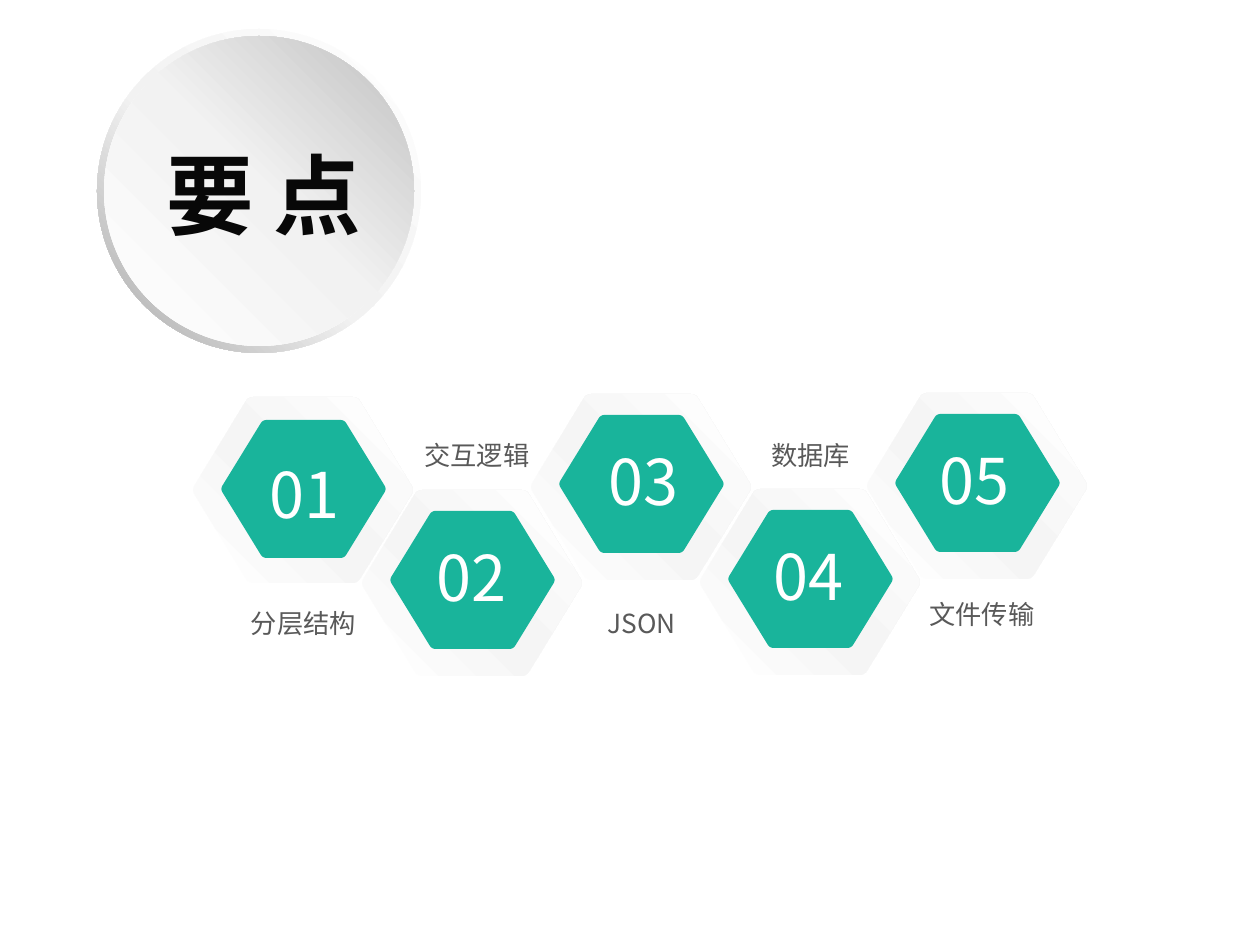
from collections import namedtuple

from lxml import etree
from pptx import Presentation
from pptx import util as u
from pptx.dml.color import RGBColor
from pptx.enum import shapes, text
from pptx.oxml import ns

SCALE = 914400 / 126  # EMU per px
FONT = "Noto Sans CJK SC"

WHITE = RGBColor(0xFF, 0xFF, 0xFF)
PALE = RGBColor(0xF5, 0xF5, 0xF5)
LIGHT = RGBColor(0xF2, 0xF2, 0xF2)
SILVER = RGBColor(0xBF, 0xBF, 0xBF)
GREY = RGBColor(0xA6, 0xA6, 0xA6)
TEAL = RGBColor(0x19, 0xB4, 0x9B)
INK = RGBColor(0x08, 0x08, 0x08)
LABEL = RGBColor(0x59, 0x59, 0x59)

LEFT, CENTER = text.PP_ALIGN.LEFT, text.PP_ALIGN.CENTER

# Sharp corners of the hexagon as fractions of its box, and the share of
# each side that is given to the rounding of a corner
HEX_CORNERS = [(1.01, 0.5), (0.75, 1), (0.25, 1), (-0.01, 0.5), (0.25, 0), (0.75, 0)]
ROUNDING = 0.05
CURVE_STEPS = 6

# Positions in px; core_dy, number_dx and number_dy are relative to the tile
Tile = namedtuple("Tile", "number left top core_dy number_dx number_dy")
TILES = [
    Tile("03", 531, 393, 22, 65, 43),
    Tile("01", 193, 396, 24, 64, 53),
    Tile("02", 362, 489, 22, 62, 43),
    Tile("05", 867, 392, 22, 60, 43),
    Tile("04", 700, 488, 22, 61, 43),
]

# Label, left, top, alignment
LABELS = [
    ("交互逻辑", 412, 433, LEFT),
    ("JSON", 571, 601, CENTER),
    ("文件传输", 917, 592, LEFT),
    ("数据库", 740, 433, CENTER),
    ("分层结构", 233, 601, CENTER),
]


def px(*lengths):
    return [u.Emu(round(length * SCALE)) for length in lengths]


def finish(shape, stops, angle=0):
    """Fill with one colour, or with a gradient of (percent, colour) stops."""
    shape.shadow.inherit = False
    shape.line.fill.background()
    if isinstance(stops, RGBColor):
        shape.fill.solid()
        shape.fill.fore_color.rgb = stops
        return
    shape.fill.gradient()
    grad = shape.element.spPr.find(ns.qn("a:gradFill"))
    for child in list(grad):
        grad.remove(child)
    stop_list = etree.SubElement(grad, ns.qn("a:gsLst"))
    for percent, colour in stops:
        stop = etree.SubElement(stop_list, ns.qn("a:gs"), pos=str(percent * 1000))
        etree.SubElement(stop, ns.qn("a:srgbClr"), val=str(colour))
    etree.SubElement(grad, ns.qn("a:lin"), ang=str(angle * 60000), scaled="0")


def write(box, words, size, colour, align=LEFT, bold=False):
    frame = box.text_frame
    frame.text = words
    frame.word_wrap = True
    frame.vertical_anchor = text.MSO_ANCHOR.TOP
    frame.auto_size = text.MSO_AUTO_SIZE.SHAPE_TO_FIT_TEXT
    paragraph = frame.paragraphs[0]
    paragraph.alignment = align
    for run in paragraph.runs:
        run.font.name = FONT
        run.font.size = u.Pt(size)
        run.font.bold = bold
        run.font.color.rgb = colour
        etree.SubElement(run.font._element, ns.qn("a:ea"), typeface=FONT)


def hexagon(slide, left, top, width, height, stops, angle=0):
    corners = [(left + x * width, top + y * height) for x, y in HEX_CORNERS]
    outline = []
    for i, corner in enumerate(corners):
        before, after = corners[i - 1], corners[(i + 1) % len(corners)]
        start = [c + (b - c) * ROUNDING for c, b in zip(corner, before)]
        end = [c + (a - c) * ROUNDING for c, a in zip(corner, after)]
        for step in range(CURVE_STEPS + 1):
            t = step / CURVE_STEPS
            outline.append(px(*(
                (1 - t) ** 2 * s + 2 * t * (1 - t) * c + t ** 2 * e
                for s, c, e in zip(start, corner, end)
            )))
    builder = slide.shapes.build_freeform(*outline[0])
    builder.add_line_segments(outline[1:], close=True)
    finish(builder.convert_to_shape(), stops, angle)


def title_badge(slide, left, top, size):
    # Raised ring and disc
    ring = slide.shapes.add_shape(shapes.MSO_SHAPE.DONUT, *px(left, top, size, size))
    ring.adjustments[0] = 0.05
    finish(ring, [(0, WHITE), (55, LIGHT), (100, GREY)], 135)
    disc = slide.shapes.add_shape(
        shapes.MSO_SHAPE.OVAL, *px(left + 7, top + 7, size - 14, size - 14))
    finish(disc, [(0, WHITE), (51, LIGHT), (100, SILVER)], 315)

    # Title, brought in front of the disc
    title = slide.shapes.title
    title.left, title.top, title.width, title.height = px(left + 57, top + 106, 228, 118)
    write(title, "要 点", 50, INK, bold=True)
    disc.element.addnext(title.element)


def number_tile(slide, tile):
    left, top = tile.left, tile.top
    hexagon(slide, left, top, 220, 188, WHITE)
    hexagon(slide, left + 1, top + 1, 218, 186,
            [(0, WHITE), (47, PALE), (100, WHITE)], 315)
    hexagon(slide, left + 29, top + tile.core_dy, 163, 138, TEAL)
    number = slide.shapes.add_textbox(
        *px(left + tile.number_dx, top + tile.number_dy, 112, 88))
    write(number, tile.number, 36, WHITE)


def topic_label(slide, words, left, top, align):
    label = slide.shapes.add_textbox(*px(left, top, 141, 44))
    write(label, words, 15, LABEL, align)


def main():
    deck = Presentation()
    deck.slide_width, deck.slide_height = px(1260, 945)
    slide = deck.slides.add_slide(deck.slide_layouts[5])
    title_badge(slide, 97, 29, 324)
    for tile in TILES:
        number_tile(slide, tile)
    for label in LABELS:
        topic_label(slide, *label)
    deck.save("out.pptx")


if __name__ == "__main__":
    main()
